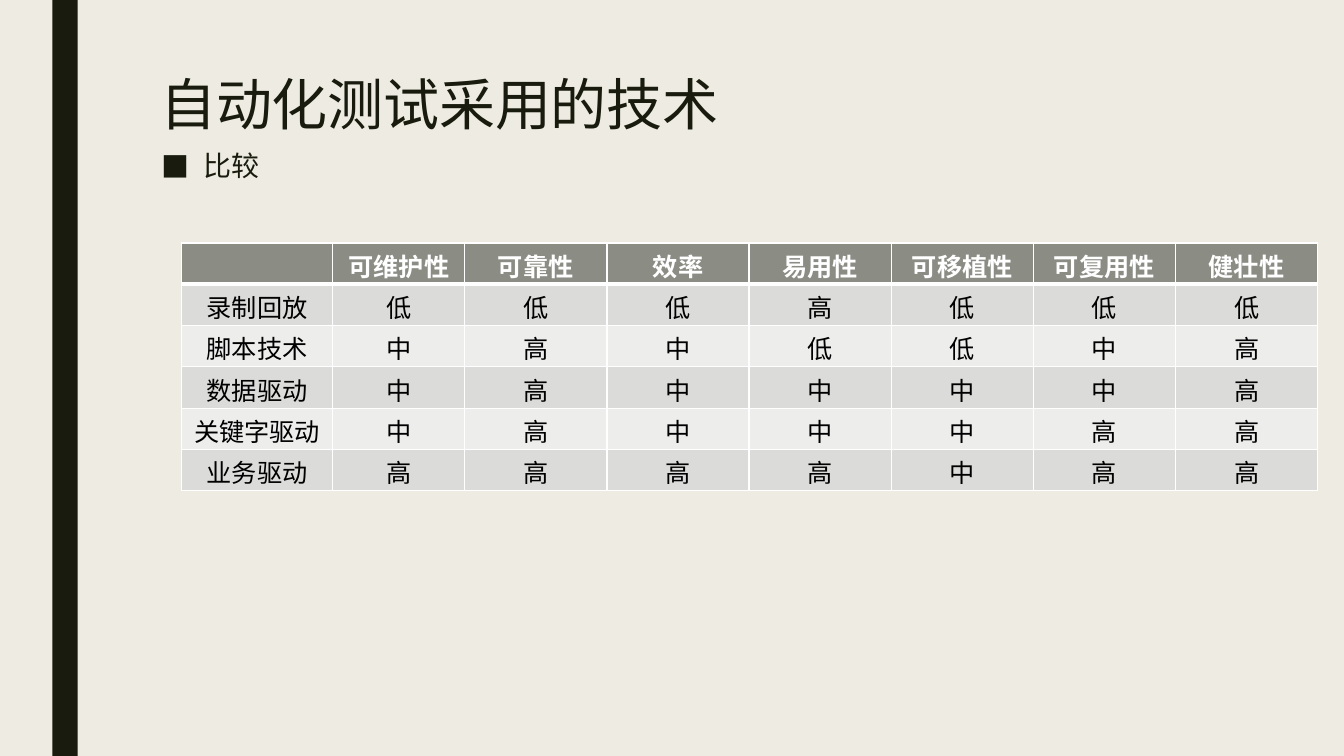
from lxml.etree import SubElement
from pptx import Presentation
from pptx.dml.color import RGBColor
from pptx.enum.shapes import MSO_SHAPE
from pptx.enum.text import PP_ALIGN
from pptx.oxml.ns import qn
from pptx.util import Inches, Pt

COLORS = {
    "background": "EEECE2", "dark": "181B0D", "header": "8B8D85",
    "odd_row": "DBDBD9", "even_row": "EDEDEC", "white": "FFFFFF", "black": "000000",
}
BODY_FONT = "Noto Sans CJK SC"
HEADER_FONT = "Noto Sans CJK TC"


def write_text(frame, text, size, color, space_before, name=BODY_FONT, bold=False, spacing=0):
    """Write one styled paragraph into a text frame and return it."""
    paragraph = frame.paragraphs[0]
    paragraph.space_before = Pt(space_before)
    run = paragraph.add_run()
    run.text = text
    for attribute, value in {"size": Pt(size), "name": name, "bold": bold}.items():
        setattr(run.font, attribute, value)
    run.font.color.rgb = RGBColor.from_string(COLORS[color])
    properties = run.font._element
    properties.set("spc", str(spacing))
    SubElement(properties, qn("a:ea"), typeface=name)
    return paragraph


def add_borders(cell, widths):
    """Draw white borders on a cell, with a width in points for each side."""
    properties = cell._tc.get_or_add_tcPr()
    for side, width in widths.items():
        line = SubElement(properties, qn(f"a:ln{side}"), w=str(Pt(width)))
        fill = SubElement(line, qn("a:solidFill"))
        SubElement(fill, qn("a:srgbClr"), val=COLORS["white"])


presentation = Presentation()
presentation.slide_width = Inches(13.33)
presentation.slide_height = Inches(7.5)
slide = presentation.slides.add_slide(presentation.slide_layouts[6])
slide.background.fill.solid()
slide.background.fill.fore_color.rgb = RGBColor.from_string(COLORS["background"])

# Side bar
bar = slide.shapes.add_shape(
    MSO_SHAPE.RECTANGLE, Inches(0.52), 0, Inches(0.25), presentation.slide_height)
bar.shadow.inherit = False
bar.fill.solid()
bar.fill.fore_color.rgb = RGBColor.from_string(COLORS["dark"])
bar.line.fill.background()

# Title and bullet
headings = [
    ("自动化测试采用的技术", 0.68, 5.58, 0.69, 40, 0.9, -10),
    ("比较", 1.46, 1, 0.36, 20, 1.1, 0),
]
for text, top, width, height, size, space_before, spacing in headings:
    box = slide.shapes.add_textbox(Inches(1.59), Inches(top), Inches(width), Inches(height))
    frame = box.text_frame
    frame.word_wrap = True
    frame.margin_left = frame.margin_right = frame.margin_bottom = 0
    frame.margin_top = Inches(0.01)
    paragraph = write_text(frame, text, size, "dark", space_before, spacing=spacing)

bullet = paragraph._p.get_or_add_pPr()
bullet.set("marL", str(Inches(0.43)))
bullet.set("indent", str(Inches(-0.42)))
SubElement(bullet, qn("a:buFont"), typeface=BODY_FONT)
SubElement(bullet, qn("a:buChar"), char="■")

# Comparison table
rows = [
    ["", "可维护性", "可靠性", "效率", "易用性", "可移植性", "可复用性", "健壮性"],
    ["录制回放", *"低低低高低低低"],
    ["脚本技术", *"中高中低低中高"],
    ["数据驱动", *"中高中中中中高"],
    ["关键字驱动", *"中高中中中高高"],
    ["业务驱动", *"高高高高中高高"],
]
column_widths = [1.5, 1.31] + [1.41] * 6
row_height = 0.41
table = slide.shapes.add_table(
    len(rows), len(column_widths), Inches(1.8), Inches(2.41),
    Inches(sum(column_widths)), Inches(row_height * len(rows))).table
for column, width in zip(table.columns, column_widths):
    column.width = Inches(width)

for row_index, labels in enumerate(rows):
    table.rows[row_index].height = Inches(row_height)
    is_header = row_index == 0
    row_color = "header" if is_header else "odd_row" if row_index % 2 else "even_row"
    border_widths = {
        "L": 1, "R": 1, "T": 3 if row_index == 1 else 1, "B": 3 if is_header else 1}
    for column_index, label in enumerate(labels):
        cell = table.cell(row_index, column_index)
        cell.margin_left = cell.margin_right = cell.margin_bottom = 0
        cell.margin_top = Inches(0.04)
        add_borders(cell, border_widths)
        cell.fill.solid()
        cell.fill.fore_color.rgb = RGBColor.from_string(COLORS[row_color])
        if not label:
            continue
        if is_header:
            style = {"color": "white", "name": HEADER_FONT, "bold": True, "spacing": 10}
        else:
            style = {"color": "black", "spacing": 0 if column_index else -10}
        paragraph = write_text(cell.text_frame, label, 18, space_before=2.6, **style)
        paragraph.alignment = PP_ALIGN.CENTER

presentation.save("out.pptx")
